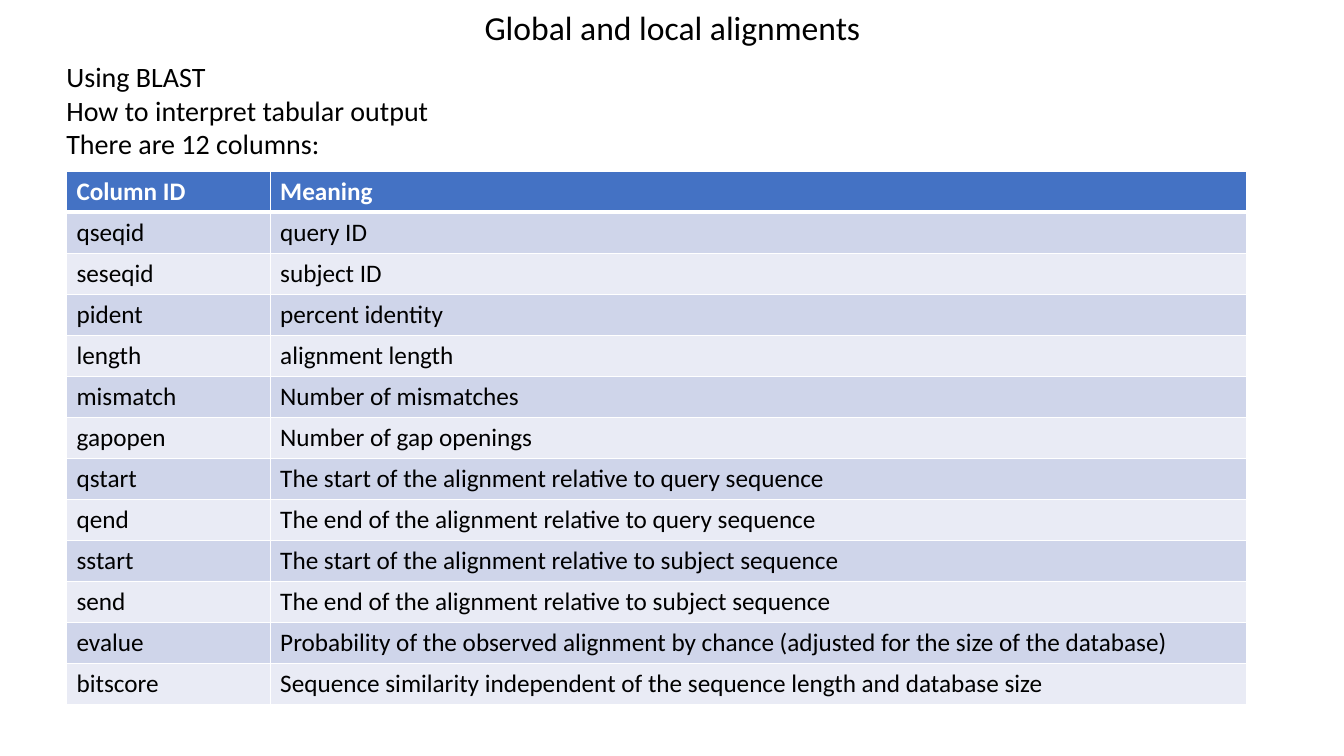
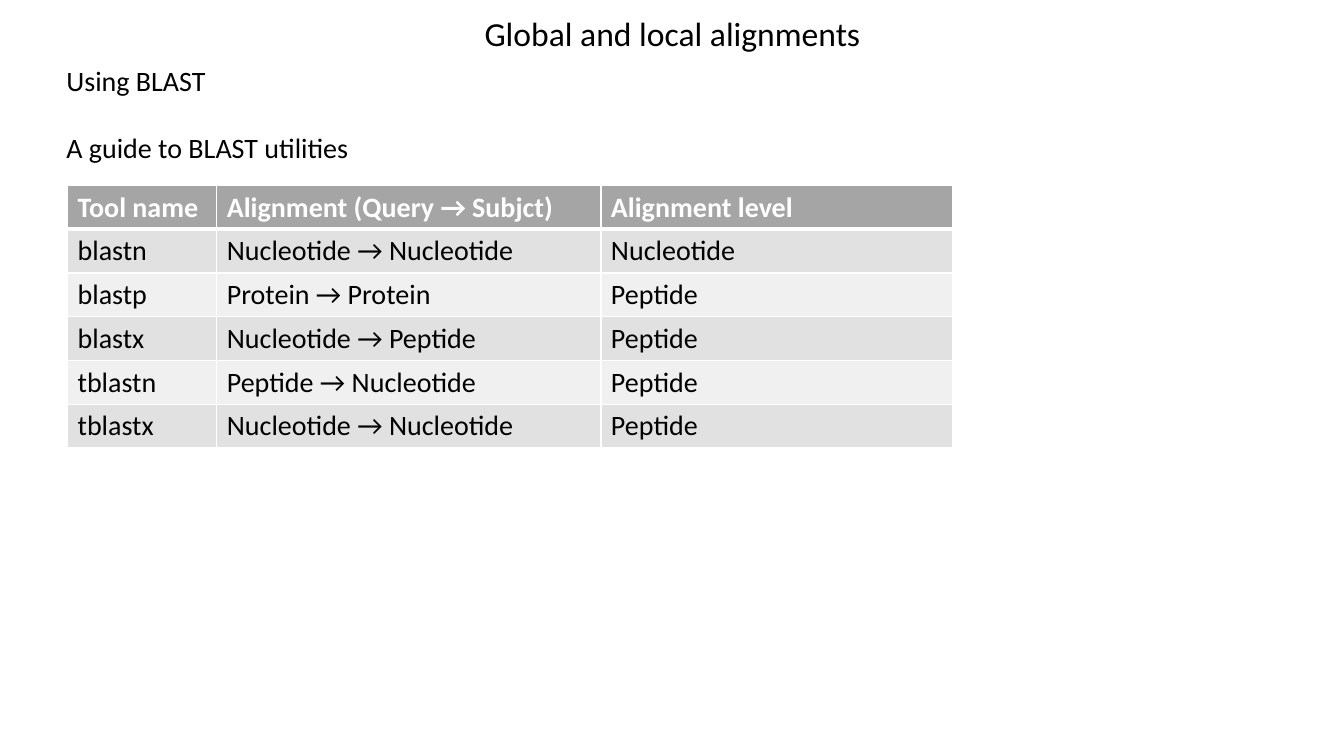
from lxml import etree
from pptx import Presentation
from pptx.dml.color import RGBColor
from pptx.enum.text import PP_ALIGN
from pptx.oxml.ns import qn
from pptx.util import Inches, Pt

CENTER = PP_ALIGN.CENTER
LEFT = PP_ALIGN.LEFT
FONT = "Calibri"
BLACK = "000000"
WHITE = "FFFFFF"
BLUE_BANDS = ("4472C4", "CFD5EA", "E9EBF5")
GRAY_BANDS = ("A5A5A5", "E1E1E1", "F0F0F0")
TITLE = "Global and local alignments"

OUTPUT_COLUMNS = [
    ("Column ID", "Meaning"),
    ("qseqid", "query ID"),
    ("seseqid", "subject ID"),
    ("pident", "percent identity"),
    ("length", "alignment length"),
    ("mismatch", "Number of mismatches"),
    ("gapopen", "Number of gap openings"),
    ("qstart", "The start of the alignment relative to query sequence"),
    ("qend", "The end of the alignment relative to query sequence"),
    ("sstart", "The start of the alignment relative to subject sequence"),
    ("send", "The end of the alignment relative to subject sequence"),
    ("evalue", "Probability of the observed alignment by chance (adjusted for the size of the database)"),
    ("bitscore", "Sequence similarity independent of the sequence length and database size"),
]

BLAST_TOOLS = [
    ("Tool name", "Alignment (Query → Subjct)", "Alignment level"),
    ("blastn", "Nucleotide → Nucleotide", "Nucleotide"),
    ("blastp", "Protein → Protein", "Peptide"),
    ("blastx", "Nucleotide → Peptide", "Peptide"),
    ("tblastn", "Peptide → Nucleotide", "Peptide"),
    ("tblastx", "Nucleotide → Nucleotide", "Peptide"),
]


def rgb(color):
    return RGBColor.from_string(color)


def style_paragraph(paragraph, size, color=BLACK, bold=False, align=LEFT):
    paragraph.alignment = align
    font = paragraph.font
    font.name = FONT
    font.size = Pt(size)
    font.bold = bold
    font.color.rgb = rgb(color)


def add_text(slide, left, top, width, height, lines, size, align=LEFT, wrap=True):
    box = slide.shapes.add_textbox(Inches(left), Inches(top), Inches(width), Inches(height))
    frame = box.text_frame
    frame.word_wrap = wrap
    frame.text = "\n".join(lines)
    for paragraph in frame.paragraphs:
        style_paragraph(paragraph, size, align=align)
    return frame


def add_border(cell, side, width):
    properties = cell._tc.get_or_add_tcPr()
    line = etree.SubElement(properties, qn(f"a:ln{side}"), w=str(Pt(width)))
    fill = etree.SubElement(line, qn("a:solidFill"))
    etree.SubElement(fill, qn("a:srgbClr"), val=WHITE)


def style_cell(cell, text, size, fill, header):
    cell.text = text
    style_paragraph(cell.text_frame.paragraphs[0], size, WHITE if header else BLACK, header)
    add_border(cell, "L", 1)
    add_border(cell, "R", 1)
    if header:
        add_border(cell, "T", 1)
    add_border(cell, "B", 3 if header else 1)
    cell.fill.solid()
    cell.fill.fore_color.rgb = rgb(fill)


def add_banded_table(slide, left, top, height, column_widths, rows, size, bands):
    frame = slide.shapes.add_table(
        len(rows), len(column_widths), Inches(left), Inches(top),
        Inches(sum(column_widths)), Inches(height))
    table = frame.table
    for column, width in zip(table.columns, column_widths):
        column.width = Inches(width)
    header_fill, odd_fill, even_fill = bands
    for row_index, row in enumerate(rows):
        header = row_index == 0
        fill = header_fill if header else odd_fill if row_index % 2 else even_fill
        for column_index, text in enumerate(row):
            style_cell(table.cell(row_index, column_index), text, size, fill, header)


def add_lesson_slide(presentation, title_top, intro_top, intro_lines):
    slide = presentation.slides.add_slide(presentation.slide_layouts[6])
    add_text(slide, 4.69, title_top, 3.96, 0.5, [TITLE], 24, CENTER, wrap=False)
    intro = add_text(slide, 0.56, intro_top, 12, 1.12, intro_lines, 20)
    return slide, intro


def main():
    presentation = Presentation()
    presentation.slide_width = Inches(13.33)
    presentation.slide_height = Inches(7.5)

    slide, _ = add_lesson_slide(
        presentation, 0.02, 0.54,
        ["Using BLAST", "How to interpret tabular output", "There are 12 columns:"])
    add_banded_table(slide, 0.66, 1.7, 5.29, [2.02, 9.68], OUTPUT_COLUMNS, 18, BLUE_BANDS)

    slide, intro = add_lesson_slide(
        presentation, 0.08, 0.58, ["Using BLAST", "A guide to BLAST utilities"])
    intro.paragraphs[1].space_before = Pt(24)
    add_banded_table(slide, 0.67, 1.84, 2.6, [1.48, 3.81, 3.49], BLAST_TOOLS, 20, GRAY_BANDS)

    presentation.save("out.pptx")


if __name__ == "__main__":
    main()
